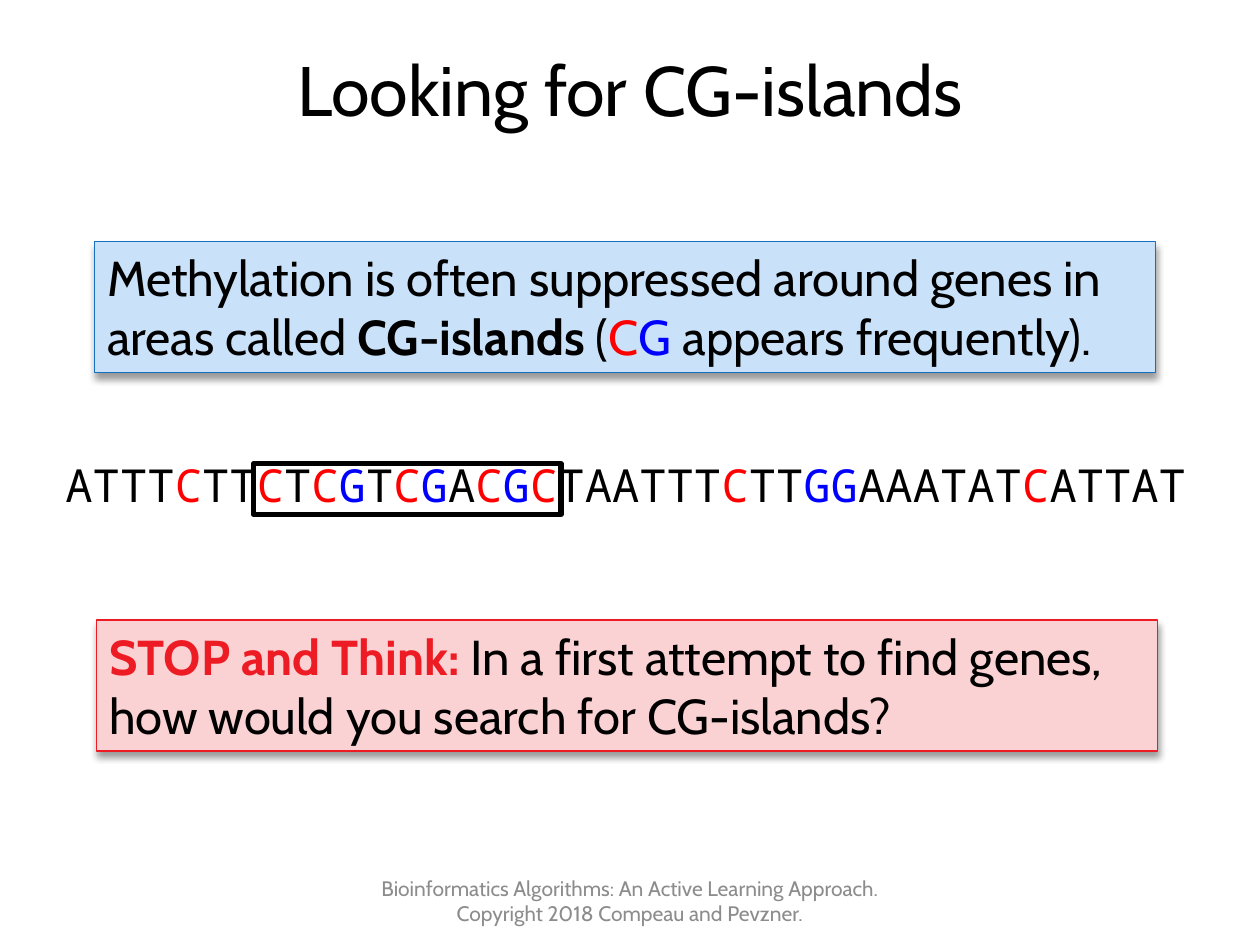
from itertools import groupby

from lxml import etree
from pptx import Presentation
from pptx.dml.color import RGBColor
from pptx.enum.shapes import MSO_SHAPE
from pptx.enum.text import MSO_ANCHOR, PP_ALIGN
from pptx.oxml.ns import qn
from pptx.util import Cm, Pt

RECTANGLE = MSO_SHAPE.RECTANGLE
TOP, MIDDLE = MSO_ANCHOR.TOP, MSO_ANCHOR.MIDDLE
LEFT, CENTER = PP_ALIGN.LEFT, PP_ALIGN.CENTER

BLACK = RGBColor(0x00, 0x00, 0x00)
RED = RGBColor(0xFF, 0x00, 0x00)
BLUE = RGBColor(0x00, 0x00, 0xFF)
GRAY = RGBColor(0x8C, 0x8C, 0x8C)
STOP_LINE = RGBColor(0xED, 0x1C, 0x24)
STOP_FILL = RGBColor(0xFB, 0xD2, 0xD3)
FACT_LINE = RGBColor(0x17, 0x6F, 0xC1)
FACT_FILL = RGBColor(0xCA, 0xE2, 0xF9)

BODY_FONT = "Cabin"
SEQUENCE_FONT = "Noto Sans Mono"
BASE_COLORS = {"C": RED, "G": BLUE}
SEQUENCE = "ATTTCTTCTCGTCGACGCTAATTTCTTGGAAATATCATTAT"


def sequence_runs(sequence):
    """Split a DNA sequence into runs of one colour each."""
    return [
        ("".join(bases), {"color": color})
        for color, bases in groupby(sequence, lambda base: BASE_COLORS.get(base, BLACK))
    ]


class SlideBuilder:
    def __init__(self, slide):
        self.slide = slide

    def fill_text(self, shape, runs, size, font=BODY_FONT, color=BLACK, align=LEFT, anchor=TOP):
        """Fill a shape with one paragraph of (text, format) runs."""
        frame = shape.text_frame
        frame.word_wrap = True
        frame.vertical_anchor = anchor
        paragraph = frame.paragraphs[0]
        paragraph.alignment = align
        for text, changes in runs:
            run = paragraph.add_run()
            run.text = text
            values = {"name": font, "size": Pt(size), "bold": changes.get("bold", False)}
            for attribute, value in values.items():
                setattr(run.font, attribute, value)
            run.font.color.rgb = changes.get("color", color)

    def text(self, box, runs, size, **style):
        shape = self.slide.shapes.add_textbox(*map(Cm, box))
        self.fill_text(shape, runs, size, **style)

    def rectangle(self, box, line, width, fill=None):
        shape = self.slide.shapes.add_shape(RECTANGLE, *map(Cm, box))
        if fill is None:
            shape.fill.background()
        else:
            shape.fill.solid()
            shape.fill.fore_color.rgb = fill
        shape.line.color.rgb = line
        shape.line.width = Pt(width)
        shape.shadow.inherit = False
        return shape

    def callout(self, box, runs, line, fill):
        shape = self.rectangle(box, line, 0.75, fill)
        self.add_shadow(shape)
        self.fill_text(shape, runs, 28)

    def add_shadow(self, shape):
        """Cast a soft black shadow straight down."""
        effects = shape._element.spPr.find(qn("a:effectLst"))
        shadow = etree.SubElement(
            effects, qn("a:outerShdw"), blurRad=str(Pt(4)), dist=str(Pt(3)),
            dir="5400000", rotWithShape="0",
        )
        color = etree.SubElement(shadow, qn("a:srgbClr"), val=str(BLACK))
        etree.SubElement(color, qn("a:alpha"), val="40000")


def main():
    presentation = Presentation()
    presentation.slide_width, presentation.slide_height = Cm(25.4), Cm(19.05)
    builder = SlideBuilder(presentation.slides.add_slide(presentation.slide_layouts[6]))

    builder.text((1.27, 0.2, 22.86, 3.18), [("Looking for CG-islands", {})], 40,
                 align=CENTER, anchor=MIDDLE)
    builder.text((1.07, 9.09, 23.5, 1.7), sequence_runs(SEQUENCE), 26, font=SEQUENCE_FONT)
    builder.rectangle((5.11, 9.35, 6.2, 1.02), BLACK, 3)

    builder.callout((1.95, 12.5, 21.39, 2.64), [
        ("STOP and Think: ", {"color": STOP_LINE, "bold": True}),
        ("In a first attempt to find genes, how would you search for CG-islands?", {}),
    ], STOP_LINE, STOP_FILL)
    builder.callout((1.91, 4.87, 21.39, 2.64), [
        ("Methylation is often suppressed around genes in areas called ", {}),
        ("CG-islands", {"bold": True}),
        (" (", {}),
        *sequence_runs("CG"),
        (" appears frequently).", {}),
    ], FACT_LINE, FACT_FILL)

    builder.text((7.2, 17.65, 11, 1.02), [
        ("Bioinformatics Algorithms: An Active Learning Approach. "
         "Copyright 2018 Compeau and Pevzner.", {}),
    ], 12, color=GRAY, align=CENTER, anchor=MIDDLE)

    presentation.save("out.pptx")


if __name__ == "__main__":
    main()
